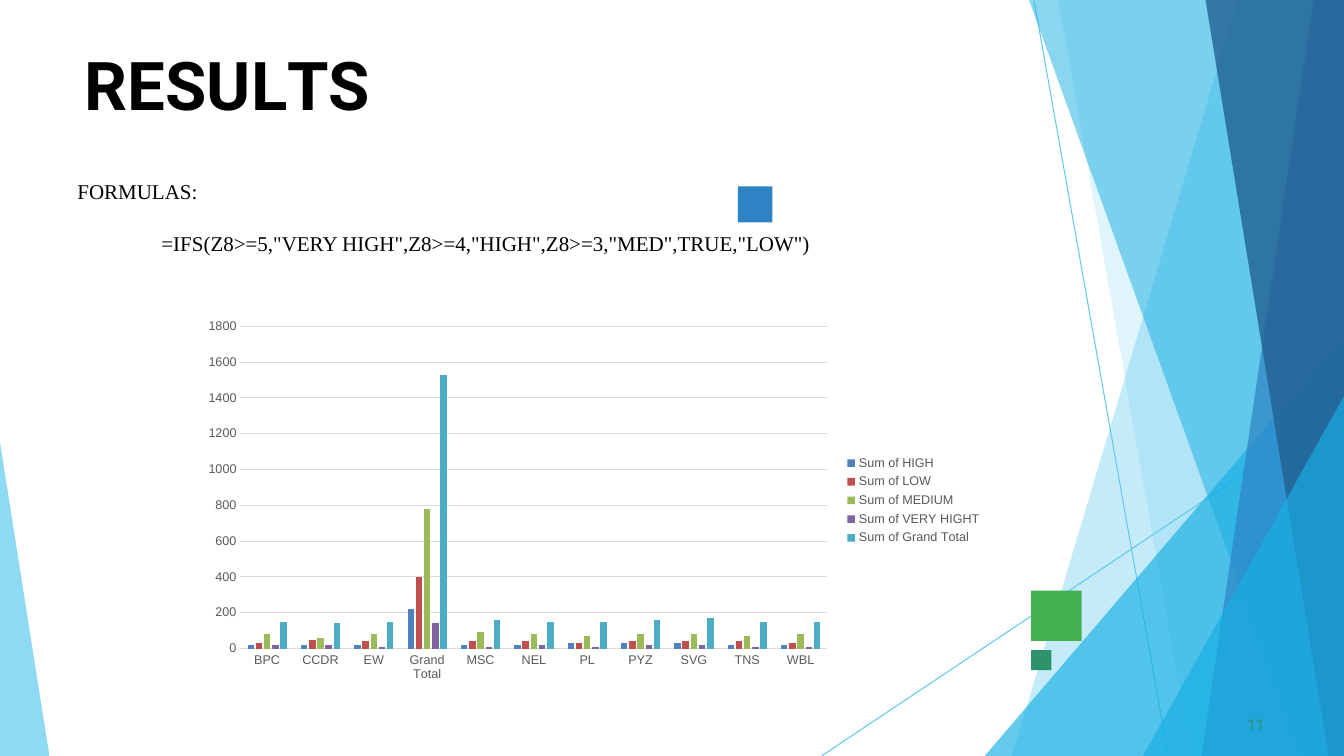
from lxml import etree
from pptx import Presentation, util as u
from pptx.chart import data
from pptx.dml import color
from pptx.enum import chart as ch, shapes, text
from pptx.oxml import ns

Pt = u.Pt
W, H = 960, 540
BLACK, GREY, RULE = "000000", "595959", "D9D9D9"

RAYS = [(738.7, 0.7, 834.5, H), (W, 290.9, 586.8, H)]

FACETS = [
    ("5FCAEE", 36, [(W, 0), (884.2, 0), (722.9, H), (W, H)]),
    ("5FCAEE", 20, [(W, 0), (756, 0), (851, H), (W, H)]),
    ("17AFE3", 66, [(W, 239.8), (703.4, H), (W, H)]),
    ("17AFE3", 50, [(W, 0), (735.1, 0), (929.5, H), (W, H)]),
    ("2D83C3", 70, [(W, 0), (938.2, 0), (858.2, H), (W, H)]),
    ("226192", 80, [(W, 0), (861.1, 0), (949, H), (W, H)]),
    ("17AFE3", 66, [(W, 283), (816.5, H), (W, H)]),
    ("5FCAEE", 70, [(0, 316.1), (0, H), (35.3, H)]),
]

SQUARES = [
    ("42AF51", 736.6, 421.9, 36, 36),
    ("2D83C3", 527, 133.2, 24.8, 25.6),
    ("2D936B", 736.6, 464.4, 14.4, 14.4),
]

TITLE = [("R", 0), ("E", -0.4), ("S", 0.1), ("U", -0.3), ("L", -4), ("TS", 0)]

CATEGORIES = ["BPC", "CCDR", "EW", "Grand Total", "MSC", "NEL", "PL",
              "PYZ", "SVG", "TNS", "WBL"]
SERIES = [
    ("Sum of HIGH", "4F81BD", [20, 20, 20, 220, 20, 20, 30, 30, 30, 20, 20]),
    ("Sum of LOW", "C0504D", [30, 50, 40, 400, 40, 40, 30, 40, 40, 40, 30]),
    ("Sum of MEDIUM", "9BBB59", [80, 60, 80, 780, 90, 80, 70, 80, 80, 70, 80]),
    ("Sum of VERY HIGHT", "8064A2", [20, 20, 10, 140, 10, 20, 10, 20, 20, 10, 10]),
    ("Sum of Grand Total", "4BACC6",
     [150, 140, 150, 1530, 160, 150, 150, 160, 170, 150, 150]),
]


def rgb(value):
    return color.RGBColor.from_string(value)


def apply(target, formats):
    for name, value in formats.items():
        setattr(target, name, value)


def style_font(font, size, hex_color, name, bold=False):
    apply(font, {"size": Pt(size), "name": name, "bold": bold})
    font.color.rgb = rgb(hex_color)


def paint(sp, hex_color, alpha=100):
    sp.shadow.inherit = False
    sp.fill.solid()
    sp.fill.fore_color.rgb = rgb(hex_color)
    sp.line.fill.background()
    if alpha < 100:
        clr = sp.fill._xPr.find(".//" + ns.qn("a:srgbClr"))
        etree.SubElement(clr, ns.qn("a:alpha")).set("val", str(alpha * 1000))


def add_ray(s, ends):
    sp = s.shapes.add_connector(shapes.MSO_CONNECTOR.STRAIGHT, *map(Pt, ends))
    sp.line.color.rgb = rgb("5FCAEE")
    sp.line.width = Pt(0.75)
    etree.SubElement(sp._element.spPr, ns.qn("a:effectLst"))


def add_facet(s, hex_color, alpha, points):
    corners = [(Pt(x), Pt(y)) for x, y in points]
    builder = s.shapes.build_freeform(*corners[0])
    builder.add_line_segments(corners[1:], close=True)
    paint(builder.convert_to_shape(), hex_color, alpha)


def add_square(s, hex_color, *box):
    sp = s.shapes.add_shape(shapes.MSO_SHAPE.RECTANGLE, *map(Pt, box))
    paint(sp, hex_color)


def set_frame(tf, left=0, top=0.7, right=0, bottom=0):
    apply(tf, {"margin_left": Pt(left), "margin_top": Pt(top),
               "margin_right": Pt(right), "margin_bottom": Pt(bottom),
               "word_wrap": True, "auto_size": text.MSO_AUTO_SIZE.NONE,
               "vertical_anchor": text.MSO_ANCHOR.TOP})


def add_run(p, words, size, hex_color, name, bold=False, spacing=0):
    r = p.add_run()
    r.text = words
    style_font(r.font, size, hex_color, name, bold)
    if spacing:
        r.font._element.set("spc", str(round(spacing * 100)))


def set_indent(p, points):
    p._p.get_or_add_pPr().set("marL", str(Pt(points)))


def set_title(s):
    sp = s.shapes.title
    apply(sp, {"left": Pt(59.8), "top": Pt(30.2),
               "width": Pt(841), "height": Pt(58.3)})
    set_frame(sp.text_frame)
    p = sp.text_frame.paragraphs[0]
    apply(p, {"alignment": text.PP_ALIGN.LEFT, "space_before": Pt(1.1),
              "line_spacing": 1.0})
    set_indent(p, 0.7)
    for letters, spacing in TITLE:
        add_run(p, letters, 48, BLACK, "Roboto", True, spacing)


def add_formulas(s):
    sp = s.shapes.add_textbox(Pt(48.2), Pt(123.8), Pt(864), Pt(243.4))
    tf = sp.text_frame
    set_frame(tf, 7.2, 3.6, 7.2, 3.6)
    add_run(tf.paragraphs[0], "FORMULAS:", 15, BLACK, "Times New Roman")
    p = tf.add_paragraph()
    p.space_before = Pt(19.2)
    set_indent(p, 60)
    add_run(p, '=IFS(Z8>=5,"VERY HIGH",Z8>=4,"HIGH",Z8>=3,"MED",TRUE,"LOW")',
            15, BLACK, "Times New Roman")


def add_page_number(s):
    sp = s.shapes.add_textbox(Pt(887.8), Pt(509.8), Pt(18), Pt(13))
    set_frame(sp.text_frame)
    p = sp.text_frame.paragraphs[0]
    p.space_before = Pt(0.6)
    set_indent(p, 3)
    add_run(p, "11", 11, "2D936B", "Roboto", spacing=0.1)


def style_axis(axis):
    apply(axis, {"major_tick_mark": ch.XL_TICK_MARK.NONE,
                 "minor_tick_mark": ch.XL_TICK_MARK.NONE})
    style_font(axis.tick_labels.font, 9, GREY, "Arial")


def set_rule(line):
    line.color.rgb = rgb(RULE)
    line.width = Pt(0.75)


def add_results_chart(s):
    cd = data.CategoryChartData()
    cd.categories = CATEGORIES
    for name, _, values in SERIES:
        cd.add_series(name, values)
    frame = s.shapes.add_chart(ch.XL_CHART_TYPE.COLUMN_CLUSTERED, Pt(137.5),
                               Pt(222.5), Pt(571), Pt(270), cd)
    chart = frame.chart
    apply(chart, {"has_title": False, "has_legend": True})
    style_font(chart.font, 10, BLACK, "Arial")
    apply(chart.legend, {"position": ch.XL_LEGEND_POSITION.RIGHT,
                         "include_in_layout": False})
    style_font(chart.legend.font, 9, GREY, "Arial")

    plot = chart.plots[0]
    apply(plot, {"gap_width": 219, "overlap": -27, "vary_by_categories": False})
    for series, (_, hex_color, _) in zip(plot.series, SERIES):
        series.format.fill.solid()
        series.format.fill.fore_color.rgb = rgb(hex_color)
        series.invert_if_negative = False

    style_axis(chart.category_axis)
    set_rule(chart.category_axis.format.line)
    values = chart.value_axis
    style_axis(values)
    apply(values, {"minimum_scale": 0, "maximum_scale": 1800, "major_unit": 200,
                   "has_major_gridlines": True})
    values.format.line.fill.background()
    set_rule(values.major_gridlines.format.line)


def main():
    prs = Presentation()
    apply(prs, {"slide_width": Pt(W), "slide_height": Pt(H)})
    s = prs.slides.add_slide(prs.slide_layouts[5])
    for ends in RAYS:
        add_ray(s, ends)
    for facet in FACETS:
        add_facet(s, *facet)
    for square in SQUARES:
        add_square(s, *square)
    set_title(s)
    add_formulas(s)
    add_page_number(s)
    add_results_chart(s)
    prs.save("out.pptx")


if __name__ == "__main__":
    main()
